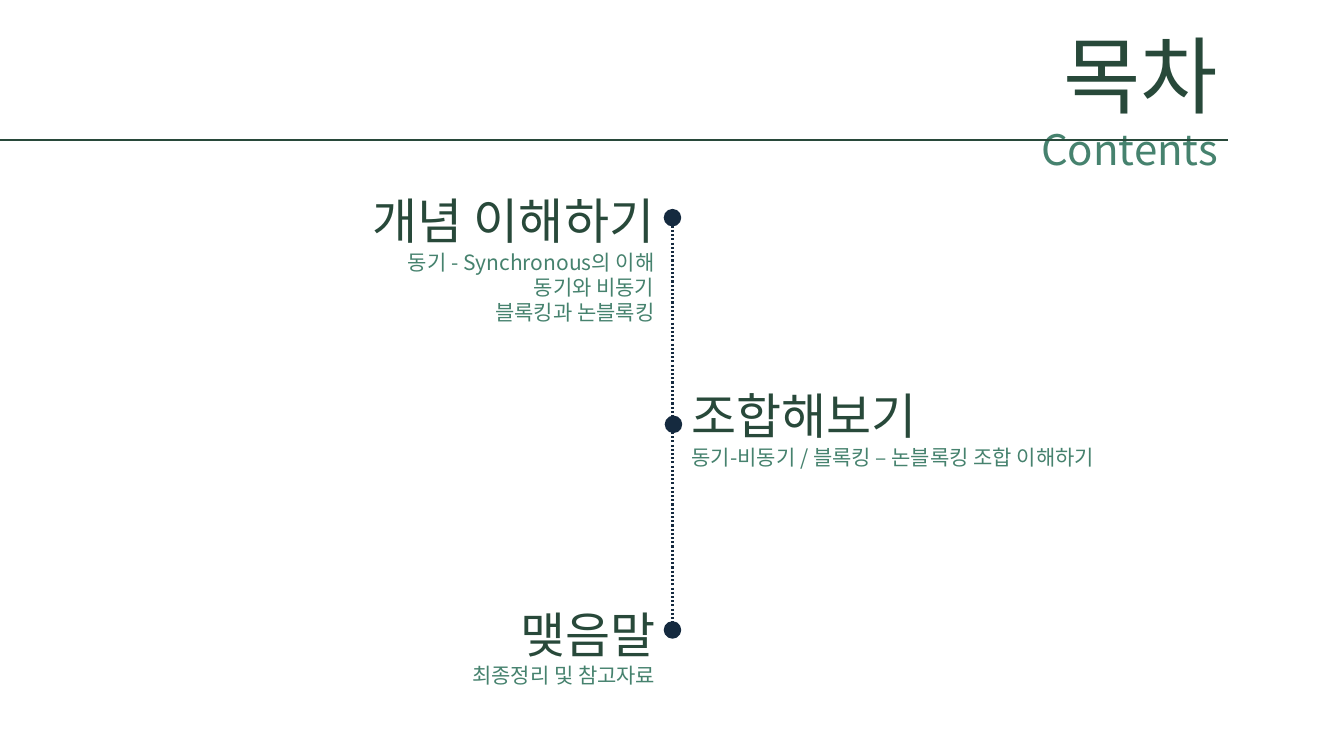
import lxml.etree
import pptx
import pptx.dml.color
import pptx.enum.dml
import pptx.enum.shapes
import pptx.enum.text
import pptx.oxml.ns
import pptx.util

EMU_PER_PX = 9144
FONT = "Noto Sans CJK KR"
LINE_HEIGHT = 1.19
DARK_GREEN = pptx.dml.color.RGBColor(0x28, 0x49, 0x3A)
SOFT_GREEN = pptx.dml.color.RGBColor(0x46, 0x82, 0x6E)
NAVY = pptx.dml.color.RGBColor(0x15, 0x2A, 0x3F)
LEFT = pptx.enum.text.PP_ALIGN.LEFT
RIGHT = pptx.enum.text.PP_ALIGN.RIGHT
DOT_SIZE = 16


def px(length):
    return pptx.util.Emu(length * EMU_PER_PX)


def style_paragraph(paragraph, size, color, alignment):
    paragraph.alignment = alignment
    paragraph.line_spacing = pptx.util.Pt(round(size * LINE_HEIGHT, 2))
    for run in paragraph.runs:
        run.font.size = pptx.util.Pt(size)
        run.font.color.rgb = color
        run.font.name = FONT
        east_asian = lxml.etree.SubElement(
            run.font._element, pptx.oxml.ns.qn("a:ea"))
        east_asian.set("typeface", FONT)


def add_heading(slide, box, lines, heading_size, detail_size, alignment):
    shape = slide.shapes.add_textbox(*map(px, box))
    text_frame = shape.text_frame
    text_frame.word_wrap = True
    text_frame.auto_size = pptx.enum.text.MSO_AUTO_SIZE.NONE
    text_frame.text = "\n".join(lines)
    heading, *details = text_frame.paragraphs
    style_paragraph(heading, heading_size, DARK_GREEN, alignment)
    for detail in details:
        style_paragraph(detail, detail_size, SOFT_GREEN, alignment)


def add_line(slide, start, end, color, dash=None):
    connector = slide.shapes.add_connector(
        pptx.enum.shapes.MSO_CONNECTOR.STRAIGHT, *map(px, start + end))
    connector.line.color.rgb = color
    connector.line.width = pptx.util.Pt(1.5)
    if dash is not None:
        connector.line.dash_style = dash
    lxml.etree.SubElement(
        connector._element.spPr, pptx.oxml.ns.qn("a:effectLst"))


def add_dot(slide, left, top):
    shape = slide.shapes.add_shape(
        pptx.enum.shapes.MSO_SHAPE.OVAL,
        px(left), px(top), px(DOT_SIZE), px(DOT_SIZE))
    shape.shadow.inherit = False
    shape.fill.solid()
    shape.fill.fore_color.rgb = NAVY
    shape.line.color.rgb = NAVY
    shape.line.width = pptx.util.Pt(1)


def main():
    presentation = pptx.Presentation()
    presentation.slide_width = px(1333)
    presentation.slide_height = px(750)
    slide = presentation.slides.add_slide(presentation.slide_layouts[6])

    add_heading(slide, (838, 19, 380, 111), ["목차", "Contents"], 60, 30, RIGHT)
    add_line(slide, (0, 139), (1218, 139), DARK_GREEN)

    add_line(slide, (667, 224), (667, 617), NAVY,
             pptx.enum.dml.MSO_LINE.ROUND_DOT)
    for left, top in ((659, 208), (660, 413), (659, 617)):
        add_dot(slide, left, top)

    chapters = (
        ((296, 185, 363, 145), RIGHT,
         ["개념 이해하기", "동기 - Synchronous의 이해",
          "동기와 비동기", "블록킹과 논블록킹"]),
        ((676, 378, 473, 96), LEFT,
         ["조합해보기", "동기-비동기 / 블록킹 – 논블록킹 조합 이해하기"]),
        ((297, 595, 363, 94), RIGHT,
         ["맺음말", "최종정리 및 참고자료"]),
    )
    for box, alignment, lines in chapters:
        add_heading(slide, box, lines, 35, 15, alignment)

    presentation.save("out.pptx")


if __name__ == "__main__":
    main()
